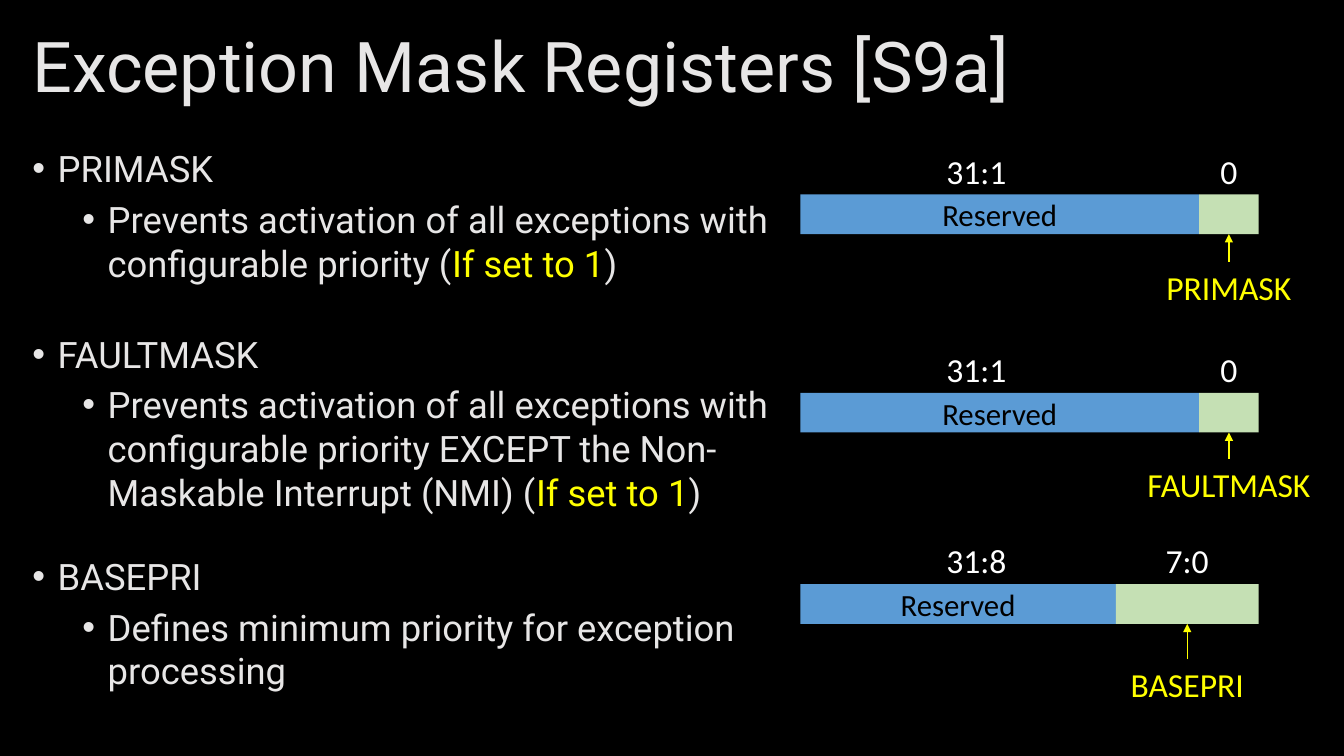
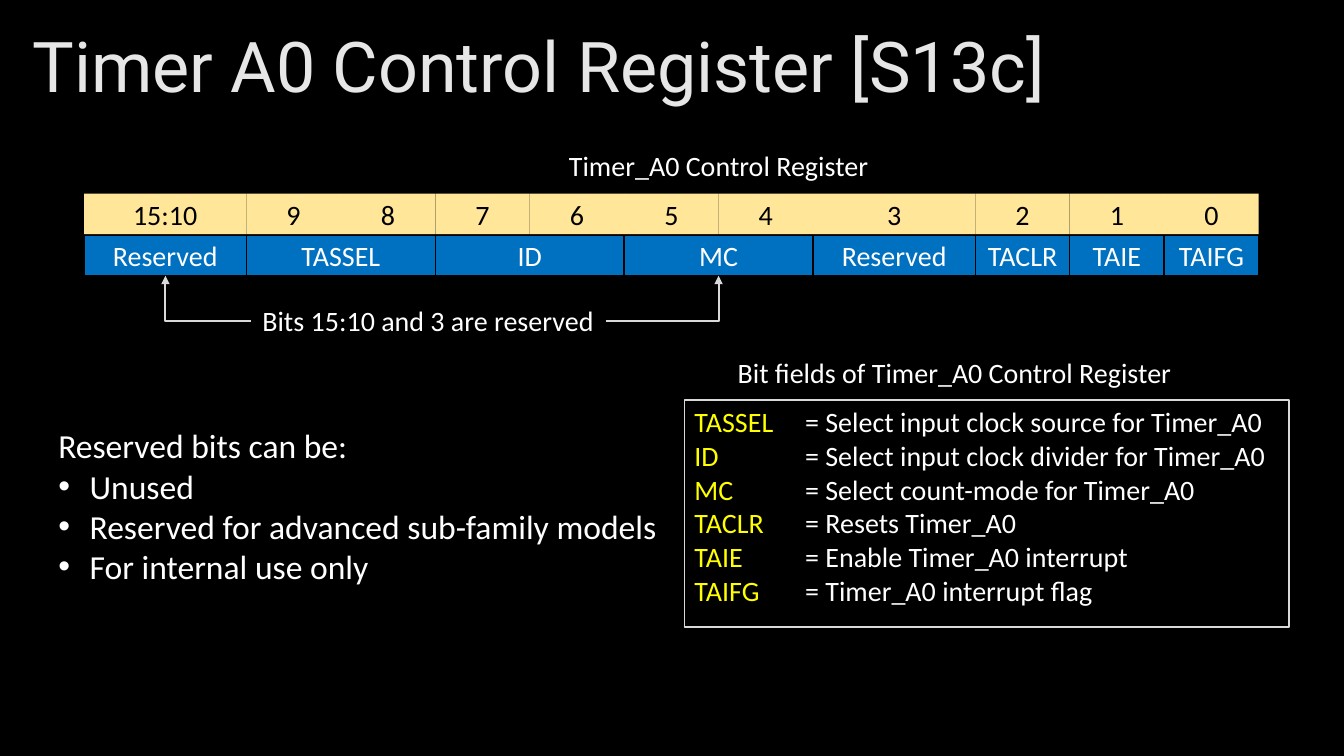
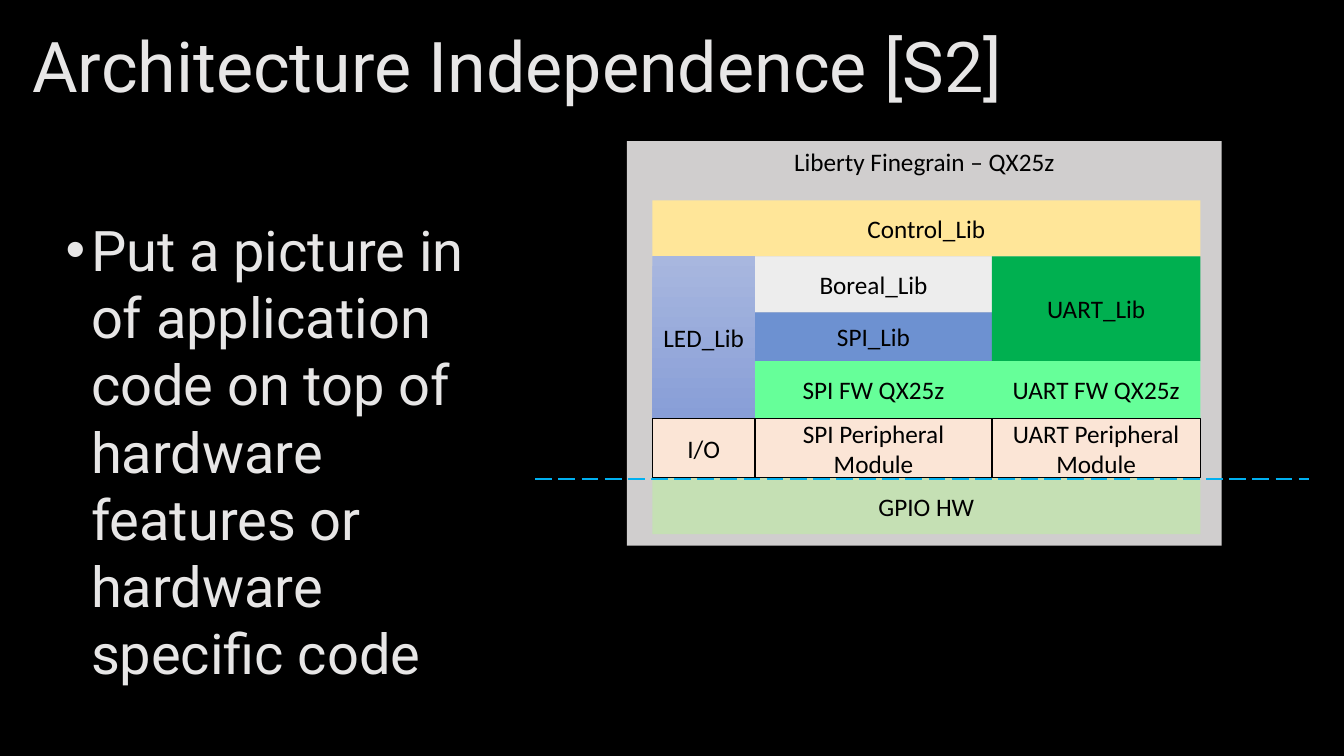
from lxml import etree
from pptx import Presentation
from pptx import util as u
from pptx.dml.color import RGBColor
from pptx.enum import dml, shapes, text as t
from pptx.oxml.ns import qn

# Shared colours and fonts
BLACK = RGBColor(0x00, 0x00, 0x00)
WHITE = RGBColor(0xFF, 0xFF, 0xFF)
YELLOW = RGBColor(0xFF, 0xFF, 0x00)
LIGHT = RGBColor(0xE7, 0xE6, 0xE6)
RULE_GREY = RGBColor(0xD9, 0xD9, 0xD9)
BOARD_GREY = RGBColor(0xD0, 0xCE, 0xCE)
BAR_BLUE = RGBColor(0x5B, 0x9B, 0xD5)
FIELD_BLUE = RGBColor(0x00, 0x70, 0xC0)
PALE_GREEN = RGBColor(0xC5, 0xE0, 0xB4)
SAND = RGBColor(0xFF, 0xE6, 0x99)
PEACH = RGBColor(0xFB, 0xE5, 0xD6)
RADIO_GREY = RGBColor(0xED, 0xED, 0xED)
SPI_BLUE = RGBColor(0x6D, 0x91, 0xD1)
LED_TOP = RGBColor(0xA8, 0xB7, 0xDF)
LED_BOTTOM = RGBColor(0x88, 0x9E, 0xD7)
UART_GREEN = RGBColor(0x00, 0xB0, 0x50)
FIRMWARE_GREEN = RGBColor(0x66, 0xFF, 0x99)
SKY = RGBColor(0x00, 0xB0, 0xF0)
HEADING_FONT = "Roboto"
LABEL_FONT = "Calibri"
LEFT, CENTER = t.PP_ALIGN.LEFT, t.PP_ALIGN.CENTER
TOP, MIDDLE = t.MSO_ANCHOR.TOP, t.MSO_ANCHOR.MIDDLE


def add_text(slide, content, box, size=20, color=WHITE, font=LABEL_FONT,
             align=CENTER, anchor=TOP, wrap=True, placeholder=None, fill=None,
             outline=None, highlight=None, margins=(), hang=0.64, before=(),
             spacing=None):
    """Write lines into a placeholder, a rectangle or a text box (cm)."""
    left, top, width, height = [u.Cm(value) for value in box]
    if placeholder is not None:
        shape = placeholder
        shape.left, shape.top, shape.width, shape.height = left, top, width, height
    elif fill is not None or outline is not None:
        shape = slide.shapes.add_shape(
            shapes.MSO_SHAPE.RECTANGLE, left, top, width, height)
        shape.shadow.inherit = False
        if fill is None:
            shape.fill.background()
        else:
            shape.fill.solid()
            shape.fill.fore_color.rgb = fill
        if outline is None:
            shape.line.fill.background()
        else:
            shape.line.color.rgb = outline
            shape.line.width = u.Pt(1)
    else:
        shape = slide.shapes.add_textbox(left, top, width, height)
    frame = shape.text_frame
    frame.auto_size = t.MSO_AUTO_SIZE.NONE
    frame.word_wrap = wrap
    frame.vertical_anchor = anchor
    for index, line in enumerate(content.split("\n")):
        paragraph = frame.paragraphs[0] if index == 0 else frame.add_paragraph()
        paragraph.alignment = align
        if spacing:
            paragraph.line_spacing = spacing
        if before:
            paragraph.space_before = u.Pt(before[index])
        if margins and margins[index]:
            paragraph.level = int(margins[index] > 1)
            properties = paragraph._p.get_or_add_pPr()
            properties.set("marL", str(u.Cm(margins[index])))
            properties.set("indent", str(-u.Cm(hang)))
            etree.SubElement(properties, qn("a:buFont")).set("typeface", "Arial")
            etree.SubElement(properties, qn("a:buChar")).set("char", "•")
        pieces = line.partition(highlight) if highlight else (line,)
        for piece in filter(None, pieces):
            run = paragraph.add_run()
            run.text = piece
            run.font.size = u.Pt(size)
            run.font.name = font
            run.font.color.rgb = YELLOW if piece == highlight else color
    return shape


def add_line(slide, start, end, color, width, arrow=True, bent=False, dash=None):
    """Draw a straight or once-bent connector between two points (cm)."""
    connector = slide.shapes.add_connector(
        shapes.MSO_CONNECTOR.ELBOW if bent else shapes.MSO_CONNECTOR.STRAIGHT,
        *[u.Cm(value) for value in start + end])
    connector.line.color.rgb = color
    connector.line.width = u.Pt(width)
    if dash:
        connector.line.dash_style = dash
    properties = connector._element.spPr
    if bent:
        properties.find(qn("a:prstGeom")).set("prst", "bentConnector2")
    if arrow:
        tail = etree.SubElement(properties.find(qn("a:ln")), qn("a:tailEnd"))
        tail.set("type", "triangle")
    etree.SubElement(properties, qn("a:effectLst"))


# Presentation, background and titled slides
presentation = Presentation()
presentation.slide_width = u.Cm(33.87)
presentation.slide_height = u.Cm(19.05)
background = presentation.slide_master.background.fill
background.solid()
background.fore_color.rgb = BLACK

TITLE_AND_BODY, TITLE_ONLY = 1, 5
slides = []
for title, layout in (("Exception Mask Registers [S9a]", TITLE_AND_BODY),
                      ("Timer A0 Control Register [S13c]", TITLE_ONLY),
                      ("Architecture Independence [S2]", TITLE_AND_BODY)):
    slide = presentation.slides.add_slide(presentation.slide_layouts[layout])
    add_text(slide, title, (0.56, 0.53, 32.74, 2.46), size=50, color=LIGHT,
             font=HEADING_FONT, align=LEFT, anchor=MIDDLE, spacing=0.9,
             placeholder=slide.shapes.title)
    slides.append(slide)
mask_slide, timer_slide, architecture_slide = slides

# Mask registers: list
mask_text = """PRIMASK
Prevents activation of all exceptions with configurable priority (If set to 1)
FAULTMASK
Prevents activation of all exceptions with configurable priority EXCEPT the Non-Maskable Interrupt (NMI) (If set to 1)
BASEPRI
Defines minimum priority for exception processing"""
add_text(mask_slide, mask_text, (0.56, 3.56, 19.58, 14.68), size=26, color=LIGHT,
         font=HEADING_FONT, align=LEFT, highlight="If set to 1",
         margins=(0.64, 1.9) * 3, before=(10, 5, 34, 5, 29, 5),
         placeholder=mask_slide.placeholders[1])

# Mask registers: one bar per register
BAR_LEFT, BAR_RIGHT, BAR_HEIGHT = 20.17, 31.72, 1
LABEL_WIDTH, LABEL_HEIGHT, LABEL_RISE = 4.85, 1.27, 1.23
RESERVED_LABEL_CENTER = 24.61
for name, reserved_bits, bits, top, split, name_top in (
        ("PRIMASK", "31:1", "0", 4.9, 30.22, 6.6),
        ("FAULTMASK", "31:1", "0", 9.9, 30.22, 11.56),
        ("BASEPRI", "31:8", "7:0", 14.72, 28.12, 16.61)):
    center = (split + BAR_RIGHT) / 2
    add_text(mask_slide, "Reserved", (BAR_LEFT, top, split - BAR_LEFT, BAR_HEIGHT),
             size=22, color=BLACK, anchor=MIDDLE, fill=BAR_BLUE)
    add_text(mask_slide, "", (split, top, BAR_RIGHT - split, BAR_HEIGHT),
             fill=PALE_GREEN)
    for label, middle, label_top, color in (
            (reserved_bits, RESERVED_LABEL_CENTER, top - LABEL_RISE, WHITE),
            (bits, center, top - LABEL_RISE, WHITE),
            (name, center, name_top, YELLOW)):
        add_text(mask_slide, label,
                 (middle - LABEL_WIDTH / 2, label_top, LABEL_WIDTH, LABEL_HEIGHT),
                 size=24, color=color)
    add_line(mask_slide, (center, name_top), (center, top + BAR_HEIGHT), YELLOW, 1)

# Timer register: bit numbers above field names
add_text(timer_slide, "Timer_A0 Control Register", (12.85, 3.63, 10.52, 1.65),
         wrap=False)
BIT_WIDTH, RESERVED_WIDTH, CELL_HEIGHT = 2.38, 4.09, 1.02
BITS_TOP, FIELDS_TOP = 4.88, 5.93
left = 2.12
for field, bits in (("Reserved", ["15:10"]), ("TASSEL", ["9", "8"]),
                    ("ID", ["7", "6"]), ("MC", ["5", "4"]), ("Reserved", ["3"]),
                    ("TACLR", ["2"]), ("TAIE", ["1"]), ("TAIFG", ["0"])):
    bit_width = RESERVED_WIDTH if field == "Reserved" else BIT_WIDTH
    field_width = bit_width * len(bits)
    add_text(timer_slide, field, (left, FIELDS_TOP, field_width, CELL_HEIGHT),
             anchor=MIDDLE, wrap=False, fill=FIELD_BLUE, outline=BLACK)
    for index, bit in enumerate(bits):
        add_text(timer_slide, bit,
                 (left + index * bit_width, BITS_TOP, bit_width, CELL_HEIGHT),
                 color=BLACK, anchor=MIDDLE, fill=SAND)
    left += field_width

# Timer register: reserved bits
add_text(timer_slide, "Bits 15:10 and 3 are reserved", (6.32, 7.52, 8.94, 1.12),
         wrap=False)
for start_x, end_x in ((15.27, 18.11), (6.32, 4.17)):
    add_line(timer_slide, (start_x, 8.08), (end_x, 6.95), RULE_GREY, 1.5, bent=True)
reserved_text = """Reserved bits can be:
Unused
Reserved for advanced sub-family models
For internal use only"""
add_text(timer_slide, reserved_text, (1.22, 10.59, 15.75, 4.37), size=24,
         align=LEFT, wrap=False, margins=(0, 0.79, 0.79, 0.79), hang=0.79)

# Timer register: meaning of the fields
meanings = {
    "TASSEL": "= Select input clock source for Timer_A0",
    "ID": "= Select input clock divider for Timer_A0",
    "MC": "= Select count-mode for Timer_A0",
    "TACLR": "= Resets Timer_A0",
    "TAIE": "= Enable Timer_A0 interrupt",
    "TAIFG": "= Timer_A0 interrupt flag",
}
add_text(timer_slide, "\n".join(meanings), (17.25, 10.08, 4.75, 5.38),
         color=YELLOW, align=LEFT)
add_text(timer_slide, "\n".join(meanings.values()), (20.04, 10.08, 12.47, 5.38),
         align=LEFT)
add_text(timer_slide, "Bit fields of Timer_A0 Control Register",
         (18.34, 8.84, 12.55, 1.12), align=LEFT)
add_text(timer_slide, "", (17.25, 10.08, 15.24, 5.72), outline=RULE_GREY)

# Architecture: list
body = add_text(
    architecture_slide,
    "Put a picture in of application code on top of hardware features or "
    "hardware specific code",
    (1.4, 3.25, 11.43, 14.05), size=40, color=LIGHT, font=HEADING_FONT, align=LEFT,
    margins=(0.64,), before=(10,), placeholder=architecture_slide.placeholders[1])
body.text_frame.margin_top = u.Cm(2.18)

# Architecture: modules on a grid of column and row edges
add_text(architecture_slide, "Liberty Finegrain – QX25z", (15.8, 3.56, 14.99, 10.19),
         size=18, color=BLACK, fill=BOARD_GREY)
COLUMNS = (16.44, 19.03, 25, 30.25)
ROWS = (5.05, 6.46, 7.87, 9.1, 10.55, 12.04, 13.46)
for label, fill, outline, first_column, end_column, first_row, end_row in (
        ("Control_Lib", SAND, None, 0, 3, 0, 1),
        ("LED_Lib", LED_TOP, None, 0, 1, 1, 4),
        ("Boreal_Lib", RADIO_GREY, None, 1, 2, 1, 2),
        ("SPI_Lib", SPI_BLUE, None, 1, 2, 2, 3),
        ("UART_Lib", UART_GREEN, None, 2, 3, 1, 3),
        ("SPI FW QX25z", FIRMWARE_GREEN, None, 1, 2, 3, 4),
        ("UART FW QX25z", FIRMWARE_GREEN, None, 2, 3, 3, 4),
        ("GPIO HW", PALE_GREEN, None, 0, 3, 5, 6),
        ("I/O", PEACH, BLACK, 0, 1, 4, 5),
        ("SPI Peripheral Module", PEACH, BLACK, 1, 2, 4, 5),
        ("UART Peripheral Module", PEACH, BLACK, 2, 3, 4, 5)):
    left, top = COLUMNS[first_column], ROWS[first_row]
    module = add_text(
        architecture_slide, label,
        (left, top, COLUMNS[end_column] - left, ROWS[end_row] - top),
        size=18, color=BLACK, anchor=MIDDLE, fill=fill, outline=outline)
    if label == "LED_Lib":
        module.fill.gradient()
        module.fill.gradient_angle = 270
        for stop, color in zip(module.fill.gradient_stops, (LED_TOP, LED_BOTTOM)):
            stop.color.rgb = color

# Architecture: boundary between peripherals and hardware
add_line(architecture_slide, (13.49, 12.06), (32.99, 12.06), SKY, 1.5,
         arrow=False, dash=dml.MSO_LINE.LONG_DASH)

presentation.save("out.pptx")
